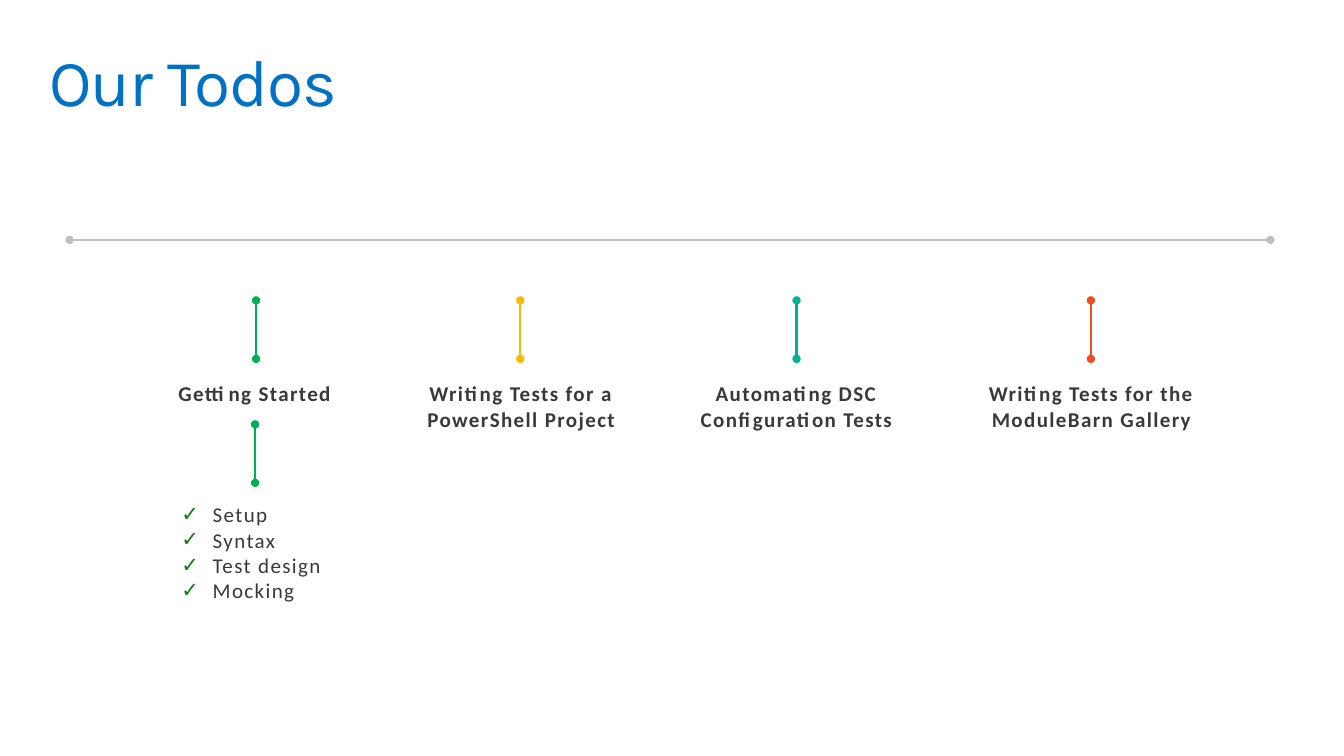
from lxml.etree import SubElement
from pptx import Presentation
from pptx.dml.color import RGBColor
from pptx.enum.shapes import MSO_CONNECTOR
from pptx.enum.text import MSO_ANCHOR, MSO_AUTO_SIZE, PP_ALIGN
from pptx.oxml.ns import qn
from pptx.util import Inches, Pt

BLUE = RGBColor(0x00, 0x72, 0xC6)
GRAY = RGBColor(0xBF, 0xBF, 0xBF)
DARK = RGBColor(0x3B, 0x38, 0x38)
GREEN = RGBColor(0x00, 0xB0, 0x50)
YELLOW = RGBColor(0xFE, 0xB9, 0x00)
TEAL = RGBColor(0x00, 0xB2, 0x94)
ORANGE = RGBColor(0xEF, 0x4E, 0x23)
CHECK_GREEN = RGBColor(0x10, 0x7C, 0x10)

STEM_TOP = 2.98
STEM_LENGTH = 0.58
LABEL_TOP = 3.73
MILESTONES = [
    ("Getting Started", GREEN, 2.54, 1.47, 2.11, 0.35),
    ("Writing Tests for a PowerShell Project", YELLOW, 5.16, 3.79, 2.76, 0.61),
    ("Automating DSC Configuration Tests", TEAL, 7.9, 6.5, 2.8, 0.61),
    ("Writing Tests for the ModuleBarn Gallery", ORANGE, 10.82, 9.57, 2.51, 0.61),
]
TOPICS = ["Setup", "Syntax", "Test design", "Mocking"]


def place(shape, left, top, width, height):
    shape.left, shape.top = Inches(left), Inches(top)
    shape.width, shape.height = Inches(width), Inches(height)


def write(para, text, name, size, color, spacing, bold=False):
    span = para.add_run()
    span.text = text
    span._r.get_or_add_rPr().set("spc", str(spacing))
    para.font.name = name
    para.font.size = Pt(size)
    para.font.bold = bold
    para.font.color.rgb = color


def add_dotted_line(page, start, end, color):
    line = page.shapes.add_connector(
        MSO_CONNECTOR.STRAIGHT, *[Inches(value) for value in (*start, *end)])
    line.line.color.rgb = color
    line.line.width = Pt(1.5)
    properties = line._element.spPr
    outline = properties.find(qn("a:ln"))
    for tag in ("a:headEnd", "a:tailEnd"):
        SubElement(outline, qn(tag), type="oval")
    SubElement(properties, qn("a:effectLst"))


def add_stem(page, center, top, color):
    add_dotted_line(page, (center, top + STEM_LENGTH), (center, top), color)


def add_label(page, text, left, width, height):
    box = page.shapes.add_textbox(
        Inches(left), Inches(LABEL_TOP), Inches(width), Inches(height))
    box.text_frame.word_wrap = True
    para = box.text_frame.paragraphs[0]
    para.alignment = PP_ALIGN.CENTER
    write(para, text, "Calibri", 15, DARK, 100, bold=True)


def set_check_bullet(para):
    properties = para._p.get_or_add_pPr()
    indent = Inches(0.31)
    properties.set("marL", str(indent))
    properties.set("indent", str(-indent))
    tint = SubElement(properties, qn("a:buClr"))
    SubElement(tint, qn("a:srgbClr"), val=str(CHECK_GREEN))
    SubElement(properties, qn("a:buChar"), char="✓")


def fill_title(title):
    place(title, 0.39, 0.39, 12.55, 0.98)
    frame = title.text_frame
    frame.auto_size = MSO_AUTO_SIZE.NONE
    frame.vertical_anchor = MSO_ANCHOR.TOP
    frame.margin_left = frame.margin_right = Inches(0.1)
    frame.margin_top = frame.margin_bottom = Inches(0.1)
    para = frame.paragraphs[0]
    para.alignment = PP_ALIGN.LEFT
    para.line_spacing = 0.9
    write(para, "Our Todos", "Karla", 47, BLUE, -70)


def fill_checklist(body):
    place(body, 1.7, 4.93, 1.66, 1.11)
    frame = body.text_frame
    frame.auto_size = MSO_AUTO_SIZE.NONE
    frame.vertical_anchor = MSO_ANCHOR.TOP
    for index, topic in enumerate(TOPICS):
        para = frame.add_paragraph() if index else frame.paragraphs[0]
        para.space_before = Pt(0)
        set_check_bullet(para)
        write(para, topic, "Calibri", 15, DARK, 100)


def main():
    deck = Presentation()
    deck.slide_width, deck.slide_height = Inches(13.33), Inches(7.5)
    page = deck.slides.add_slide(deck.slide_layouts[1])
    fill_title(page.shapes.title)
    add_dotted_line(page, (0.69, 2.38), (12.6, 2.38), GRAY)
    for text, color, center, left, width, height in MILESTONES:
        add_stem(page, center, STEM_TOP, color)
        add_label(page, text, left, width, height)
    add_stem(page, 2.53, 4.21, GREEN)
    fill_checklist(page.placeholders[1])
    deck.save("out.pptx")


if __name__ == "__main__":
    main()
